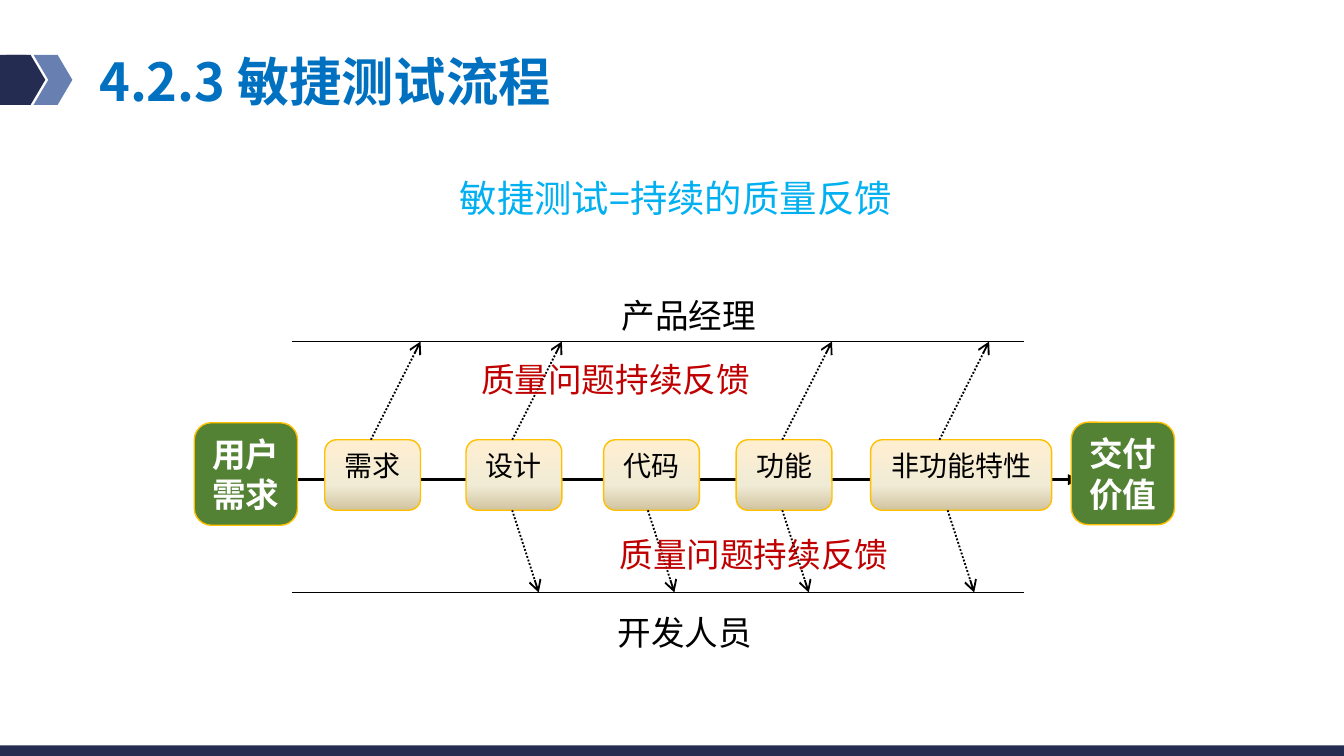
from lxml import etree
from pptx import Presentation
from pptx.dml.color import RGBColor
from pptx.enum.dml import MSO_LINE
from pptx.enum.shapes import MSO_CONNECTOR, MSO_SHAPE
from pptx.enum.text import MSO_ANCHOR, PP_ALIGN
from pptx.oxml.ns import qn
from pptx.util import Pt

RECT, ROUND, CHEVRON = MSO_SHAPE.RECTANGLE, MSO_SHAPE.ROUNDED_RECTANGLE, MSO_SHAPE.CHEVRON
STRAIGHT, DOTTED = MSO_CONNECTOR.STRAIGHT, MSO_LINE.ROUND_DOT
TOP, MIDDLE = MSO_ANCHOR.TOP, MSO_ANCHOR.MIDDLE
LEFT, CENTER = PP_ALIGN.LEFT, PP_ALIGN.CENTER

NAVY, STEEL, GREEN, GOLD = "242C52", "6880B1", "548235", "FFC000"
BLACK, WHITE, RED, SKY, BLUE = "000000", "FFFFFF", "C00000", "00B0F0", "0070C0"
CREAM = [(0, "FFEFD1"), (65, "F0EBD5"), (100, "D1C39F")]
BODY, HEAD = "Calibri", "Noto Sans CJK SC"


def rgb(value):
    return RGBColor.from_string(value)


def write(tf, text, size=18, color=BLACK, font=BODY, bold=False,
          align=CENTER, spacing=None, anchor=TOP, margins=(5, 2.7), wrap=True):
    tf.word_wrap = wrap
    tf.vertical_anchor = anchor
    tf.margin_left = tf.margin_right = Pt(margins[0])
    tf.margin_top = tf.margin_bottom = Pt(margins[1])
    p = tf.paragraphs[0]
    p.alignment = align
    if spacing:
        p.line_spacing = spacing
    r = p.add_run()
    r.text = text
    r.font.size, r.font.bold, r.font.name = Pt(size), bold, font
    r.font.color.rgb = rgb(color)
    etree.SubElement(r.font._element, qn("a:ea"), typeface=font)


class Painter:
    def __init__(self, slide):
        self.s = slide

    def shape(self, kind, x, y, w, h, fill=None, line=None, adj=None):
        sp = self.s.shapes.add_shape(kind, Pt(x), Pt(y), Pt(w), Pt(h))
        sp.shadow.inherit = False
        if adj is not None:
            sp.adjustments[0] = adj
        if isinstance(fill, list):
            self.gradient(sp, fill)
        elif fill:
            sp.fill.solid()
            sp.fill.fore_color.rgb = rgb(fill)
        else:
            sp.fill.background()
        if line:
            sp.line.color.rgb = rgb(line)
            sp.line.width = Pt(0.75)
        else:
            sp.line.fill.background()
        return sp

    def gradient(self, sp, stops):
        sp.fill.gradient()
        sp.fill.gradient_angle = 270
        gs_list = sp._element.spPr.find(qn("a:gradFill")).find(qn("a:gsLst"))
        for gs in list(gs_list):
            gs_list.remove(gs)
        for pos, color in stops:
            gs = etree.SubElement(gs_list, qn("a:gs"), pos=str(pos * 1000))
            etree.SubElement(gs, qn("a:srgbClr"), val=color)

    def box(self, text, x, y, w, h, fill=None, line=None, **fmt):
        sp = self.shape(ROUND, x, y, w, h, fill, line)
        write(sp.text_frame, text, **fmt)

    def label(self, text, x, y, w, h, **fmt):
        sp = self.s.shapes.add_textbox(Pt(x), Pt(y), Pt(w), Pt(h))
        write(sp.text_frame, text, font=HEAD, spacing=0.9, margins=(7.2, 3.6), **fmt)

    def line(self, x1, y1, x2, y2, width=0.75, head=None, dash=None):
        c = self.s.shapes.add_connector(STRAIGHT, Pt(x1), Pt(y1), Pt(x2), Pt(y2))
        c.line.color.rgb = rgb(BLACK)
        c.line.width = Pt(width)
        if dash:
            c.line.dash_style = dash
        if head:
            etree.SubElement(c.line._get_or_add_ln(), qn("a:tailEnd"), type=head)
        etree.SubElement(c._element.spPr, qn("a:effectLst"))


def main():
    prs = Presentation()
    prs.slide_width, prs.slide_height = Pt(720), Pt(405)
    paint = Painter(prs.slides.add_slide(prs.slide_layouts[6]))

    # Header mark and footer bar
    paint.shape(RECT, 0, 29.4, 14.3, 26.8, NAVY)
    for x, color in ((18, STEEL), (3.5, NAVY)):
        paint.shape(CHEVRON, x, 29.4, 20.8, 26.8, color, adj=0.38)
    paint.shape(RECT, 0, 399.4, 720, 5.6, NAVY)

    # Headings
    paint.label("敏捷测试=持续的质量反馈", 170.6, 92.9, 383, 49.7, size=20, color=SKY)
    paint.label("4.2.3 敏捷测试流程", 46.1, 26.6, 267, 37.4, size=28, color=BLUE,
                bold=True, align=LEFT, wrap=False)

    # Process axis and its stages
    stage_top, stage_bottom = 235.6, 273.4
    paint.line(156.2, 257, 578, 257, 1.5, "triangle")
    for text, x, w in (("需求", 174, 51.3), ("设计", 249.7, 51.3), ("代码", 323.4, 51.3),
                       ("功能", 394.4, 51.3), ("非功能特性", 466.4, 97)):
        paint.box(text, x, stage_top, w, stage_bottom - stage_top, CREAM, GOLD, size=15)

    # Role lines
    manager_y, developer_y = 183, 317.4
    for y in (manager_y, developer_y):
        paint.line(156.2, y, 548.6, y)
    paint.box("产品经理", 319, 154.1, 100, 25)
    paint.box("开发人员", 316.8, 324, 100, 24.5)

    # Feedback arrows
    for x in (198.7, 274.4, 419.1, 503.3):
        paint.line(x, stage_top, x + 26.6, manager_y, 1, "arrow", DOTTED)
    for x in (274.4, 347.1, 419.1, 507.7):
        paint.line(x, stage_bottom, x + 14.2, developer_y, 1, "arrow", DOTTED)
    for x, y, w in ((248.4, 187.9, 162.7), (321.1, 281.5, 165.6)):
        paint.box("质量问题持续反馈", x, y, w, 37.4, color=RED)

    # Start and end of the process
    for text, x, y in (("用户需求", 104.1, 226.5), ("交付价值", 573.9, 226.2)):
        paint.box(text, x, y, 55.3, 54.9, GREEN, GOLD, color=WHITE, bold=True, anchor=MIDDLE)

    prs.save("out.pptx")


if __name__ == "__main__":
    main()
